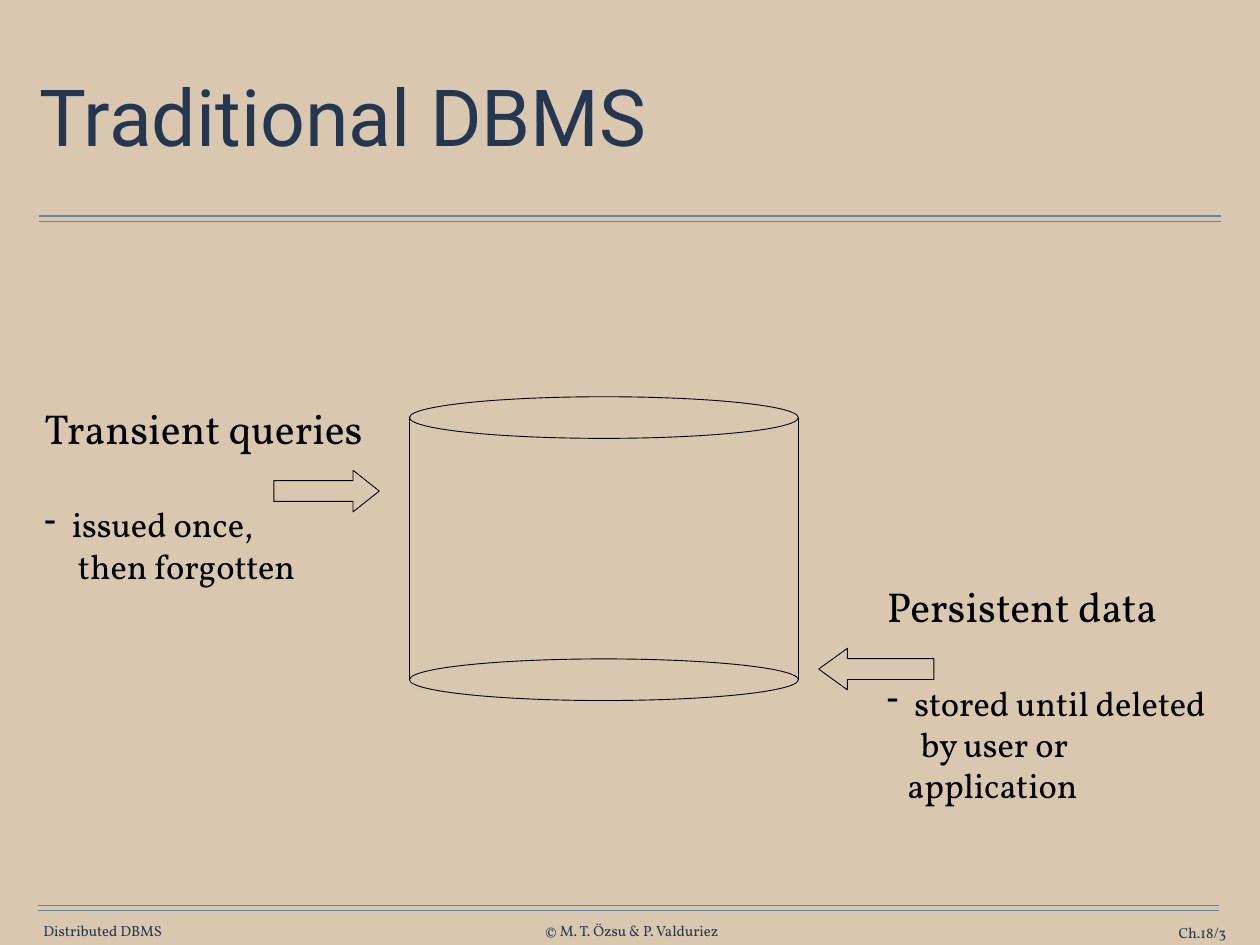
from dataclasses import dataclass

from lxml import etree
from pptx import Presentation
from pptx import util as u
from pptx.dml.color import RGBColor
from pptx.enum import shapes, text
from pptx.oxml.ns import qn

PX = 9144  # 100 px to the inch
SHAPE = shapes.MSO_SHAPE
ALIGN = text.PP_ALIGN


@dataclass(frozen=True)
class Theme:
    paper: str = "D9C8AF"
    navy: str = "253750"
    footer_ink: str = "263750"
    rule: str = "6682AA"
    ink: str = "000000"
    title_font: str = "Roboto"
    body_font: str = "Vollkorn"
    title_size: int = 64
    heading_size: int = 34
    item_size: int = 28
    footer_size: int = 12
    heading_gap: int = 41
    rule_width: float = 1
    outline_width: float = 0.75


THEME = Theme()


def px(*lengths):
    return [u.Emu(n * PX) for n in lengths]


def rgb(value):
    return RGBColor.from_string(value)


def style(p, font, size, color):
    for r in p.runs:
        r.font.name = font
        r.font.size = u.Pt(size)
        r.font.color.rgb = rgb(color)


def set_margins(tf, across, down):
    tf.margin_left = tf.margin_right = px(across)[0]
    tf.margin_top = tf.margin_bottom = px(down)[0]


def set_indent(p, left, first):
    pPr = p._p.get_or_add_pPr()
    pPr.set("marL", str(left * PX))
    pPr.set("indent", str(first * PX))
    return pPr


def add_line(slide, x1, y1, x2, y2, color, width):
    line = slide.shapes.add_connector(shapes.MSO_CONNECTOR.STRAIGHT, *px(x1, y1, x2, y2))
    line.line.color.rgb = rgb(color)
    line.line.width = u.Pt(width)
    etree.SubElement(line._element.spPr, qn("a:effectLst"))


def add_outline(slide, kind, box, adjustments=()):
    sp = slide.shapes.add_shape(kind, *px(*box))
    sp.shadow.inherit = False
    sp.fill.background()
    sp.line.color.rgb = rgb(THEME.ink)
    sp.line.width = u.Pt(THEME.outline_width)
    for i, value in enumerate(adjustments):
        sp.adjustments[i] = value


def add_double_rule(slide, left, top, width):
    for y in (top, top + 6):
        add_line(slide, left, y, left + width, y, THEME.rule, THEME.rule_width)


def add_title(slide, box, wording):
    title = slide.shapes.title
    title.left, title.top, title.width, title.height = px(*box)
    tf = title.text_frame
    tf.text = wording
    tf.word_wrap = True
    tf.auto_size = text.MSO_AUTO_SIZE.NONE
    tf.vertical_anchor = text.MSO_ANCHOR.MIDDLE
    set_margins(tf, 6, 6)
    p = tf.paragraphs[0]
    p.alignment = ALIGN.LEFT
    p.line_spacing = 0.9
    style(p, THEME.title_font, THEME.title_size, THEME.navy)


def add_footer(slide, box, wording, alignment):
    tf = slide.shapes.add_textbox(*px(*box)).text_frame
    tf.text = wording
    tf.vertical_anchor = text.MSO_ANCHOR.MIDDLE
    tf.word_wrap = False
    set_margins(tf, 0, 0)
    p = tf.paragraphs[0]
    p.alignment = alignment
    style(p, THEME.body_font, THEME.footer_size, THEME.footer_ink)


def add_database(slide, left, top, width, height):
    """Draw an open cylinder from two rims and two sides."""
    rim = 47
    for y in (top, top + height - rim):
        add_outline(slide, SHAPE.OVAL, (left, y, width, rim))
    for x in (left, left + width):
        add_line(slide, x, top + rim // 2, x, top + height - rim // 2,
                 THEME.ink, THEME.outline_width)


def add_note(slide, box, heading, item, continuation):
    tf = slide.shapes.add_textbox(*px(*box)).text_frame
    tf.word_wrap = True
    set_margins(tf, 14, 7)
    p = tf.paragraphs[0]
    p.text = heading
    p.space_after = u.Pt(THEME.heading_gap)
    style(p, THEME.body_font, THEME.heading_size, THEME.ink)

    for wording, left, first, bullet in ((item, 31, -31, "-"),
                                         (continuation, 23, 15, None)):
        p = tf.add_paragraph()
        p.text = wording
        style(p, THEME.body_font, THEME.item_size, THEME.ink)
        pPr = set_indent(p, left, first)
        if bullet:
            etree.SubElement(pPr, qn("a:buChar")).set("char", bullet)


def main():
    prs = Presentation()
    prs.slide_width, prs.slide_height = px(1422, 1067)
    slide = prs.slides.add_slide(prs.slide_layouts[5])
    slide.background.fill.solid()
    slide.background.fill.fore_color.rgb = rgb(THEME.paper)

    add_double_rule(slide, 44, 244, 1334)
    add_double_rule(slide, 43, 1022, 1333)
    add_footer(slide, (47, 1041, 138, 20), "Distributed DBMS", ALIGN.CENTER)
    add_footer(slide, (609, 1041, 208, 20), "© M. T. Özsu & P. Valduriez", ALIGN.CENTER)
    add_footer(slide, (1231, 1043, 153, 20), "Ch.18/3", ALIGN.RIGHT)
    add_title(slide, (39, 49, 1344, 176), "Traditional DBMS")

    add_database(slide, 462, 448, 439, 343)
    add_outline(slide, SHAPE.LEFT_ARROW, (924, 732, 130, 47), (0.5, 0.69))
    add_note(slide, (987, 649, 426, 223), "Persistent data",
             "stored until deleted", "by user or application")
    add_outline(slide, SHAPE.RIGHT_ARROW, (309, 531, 119, 47), (0.5, 0.63))
    add_note(slide, (36, 448, 395, 223), "Transient queries",
             "issued once,", "then forgotten")
    prs.save("out.pptx")


if __name__ == "__main__":
    main()
